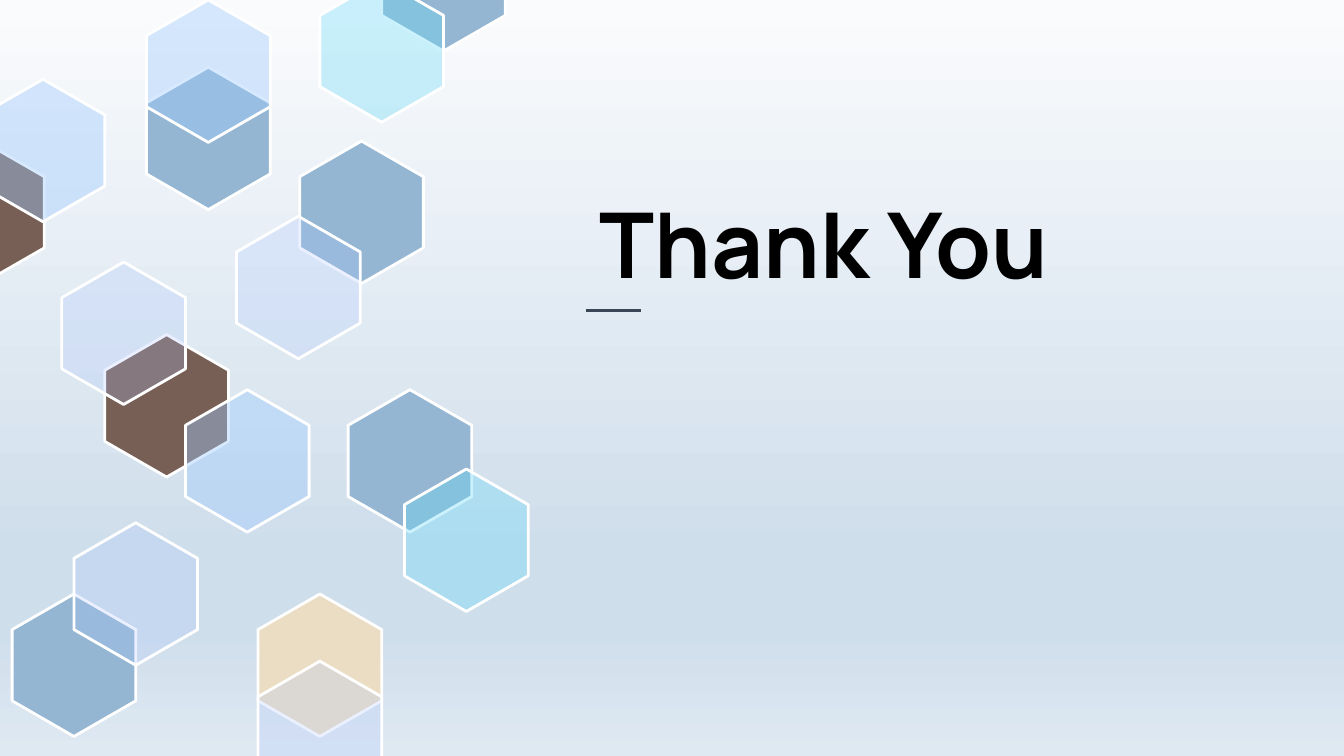
from lxml.etree import SubElement
from pptx import Presentation
from pptx.dml.color import RGBColor
from pptx.enum.shapes import MSO_CONNECTOR as CONNECTOR
from pptx.enum.text import MSO_ANCHOR as ANCHOR, MSO_AUTO_SIZE as AUTO_SIZE, PP_ALIGN as ALIGN
from pptx.oxml.ns import qn
from pptx.util import Inches, Pt


def color(hex_string):
    return RGBColor.from_string(hex_string)


presentation = Presentation()
presentation.slide_width = Inches(10)
presentation.slide_height = Inches(10 * 9 / 16)
slide = presentation.slides.add_slide(presentation.slide_layouts[5])

background_fill = slide.background.fill
background_fill.gradient()
background_fill.gradient_angle = 270
stop_list = next(slide.background._cSld.iter(qn("a:gsLst")))
for stop in list(stop_list):
    stop_list.remove(stop)
for percent, stop_color in [(0, "FAFBFD"), (74, "CFDEEB"), (83, "CFDEEB"), (100, "DFE9F2")]:
    stop = SubElement(stop_list, qn("a:gs"), pos=str(percent * 1000))
    SubElement(stop, qn("a:srgbClr"), val=stop_color)

title = slide.shapes.title
title.left, title.top, title.width, title.height = Inches(4.36), Inches(1.25), Inches(4.26), Inches(1.06)
frame = title.text_frame
frame.text = "Thank You"
frame.word_wrap = True
frame.auto_size = AUTO_SIZE.NONE
frame.vertical_anchor = ANCHOR.BOTTOM
frame.margin_left = frame.margin_right = frame.margin_top = frame.margin_bottom = Inches(0.1)
paragraph = frame.paragraphs[0]
paragraph.alignment = ALIGN.LEFT
paragraph.font.name = "Manrope"
paragraph.font.size = Pt(48.6)
paragraph.font.bold = True
paragraph.font.color.rgb = color("000000")

steel = ("94B6D2", 100)
brown = ("775F55", 100)
sand = ("EBDDC3", 100)
sky = ("9FCBFD", 41)
lavender = ("AFC7FF", 25)
cyan = ("68DAF8", 34)
hexagons = [
    (0.09, 4.42, steel), (1.09, 0.5, steel), (2.23, 1.05, steel), (-0.59, 1.05, brown),
    (1.09, 0, sky), (0.78, 2.49, brown), (0.46, 1.95, lavender), (1.76, 1.61, lavender),
    (2.84, -0.68, steel), (1.38, 2.9, sky), (2.38, -0.15, cyan), (1.92, 4.42, sand),
    (2.59, 2.9, steel), (0.55, 3.89, lavender), (1.92, 4.92, lavender), (-0.14, 0.59, sky),
    (3.01, 3.49, cyan),
]
width, height = 0.92, 1.06
corners = [(0.5, 0), (1, 0.25), (1, 0.75), (0.5, 1), (0, 0.75), (0, 0.25)]
for left, top, (fill_color, opacity) in hexagons:
    points = [(Inches(left + x * width), Inches(top + y * height)) for x, y in corners]
    builder = slide.shapes.build_freeform(*points[0])
    builder.add_line_segments(points[1:], close=True)
    hexagon = builder.convert_to_shape()
    hexagon.shadow.inherit = False
    hexagon.fill.solid()
    hexagon.fill.fore_color.rgb = color(fill_color)
    if opacity < 100:
        fill_element = hexagon._element.spPr.find(qn("a:solidFill"))
        SubElement(fill_element[0], qn("a:alpha"), val=str(opacity * 1000))
    hexagon.line.color.rgb = color("FFFFFF")
    hexagon.line.width = Pt(1.5)

underline = slide.shapes.add_connector(
    CONNECTOR.STRAIGHT, Inches(4.36), Inches(2.31), Inches(4.77), Inches(2.31))
underline.line.color.rgb = color("384655")
underline.line.width = Pt(1.5)
SubElement(underline._element.spPr, qn("a:effectLst"))

presentation.save("out.pptx")
